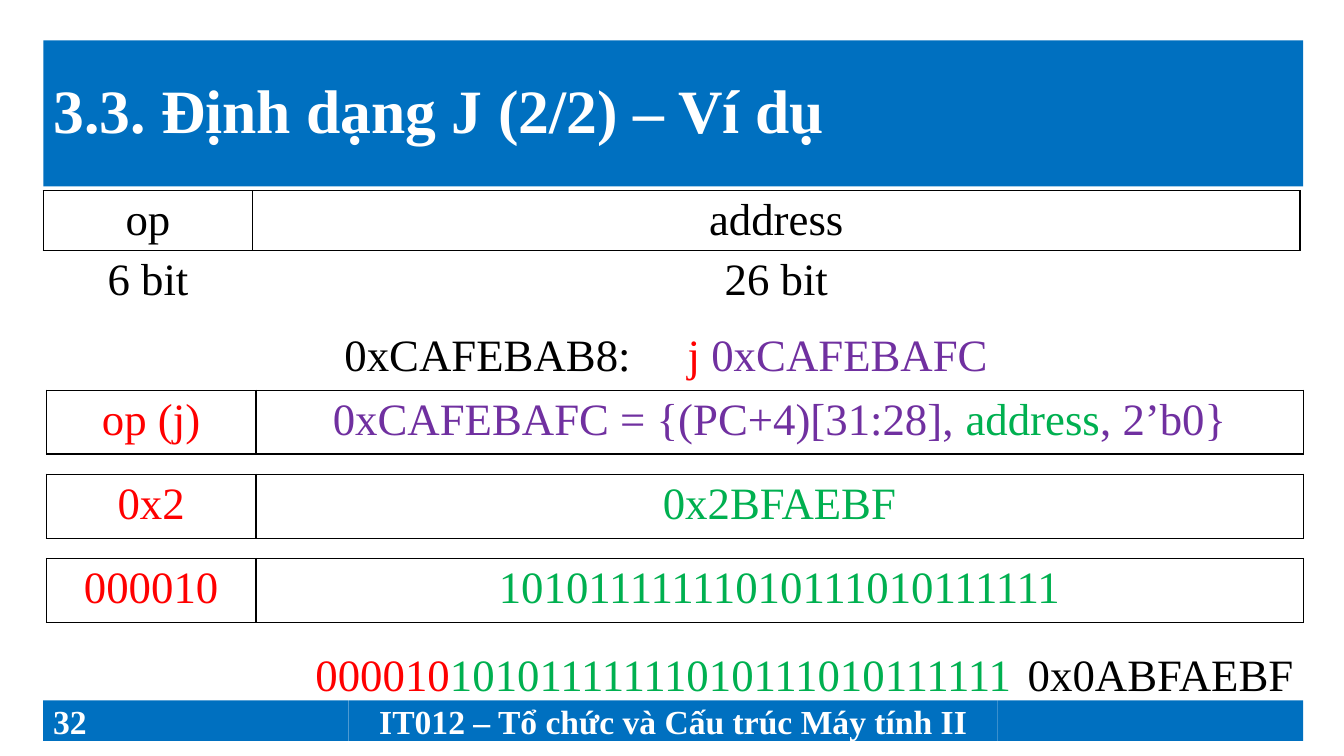
"""Build the slide that works through an example of the J instruction format."""
from lxml import etree
from pptx import Presentation
from pptx.dml.color import RGBColor
from pptx.enum import shapes, text
from pptx.oxml.ns import qn
from pptx.util import Cm, Pt

BLUE = RGBColor(0x00, 0x70, 0xC0)
WHITE = RGBColor(0xFF, 0xFF, 0xFF)
BLACK = RGBColor(0, 0, 0)
RED = RGBColor(0xFF, 0, 0)
PURPLE = RGBColor(0x70, 0x30, 0xA0)
GREEN = RGBColor(0x00, 0xB0, 0x50)

LEFT = 1.09
COLUMNS = (5.28, 26.39)
BODY = {"name": "Times New Roman", "size": Pt(32), "bold": False}
FOOTER = {**BODY, "size": Pt(24), "bold": True}
TITLE = {**FOOTER, "size": Pt(44)}
MIDDLE = {"vertical_anchor": text.MSO_ANCHOR.MIDDLE, "word_wrap": True}
CENTER = text.PP_ALIGN.CENTER


def apply(target, values):
    for name, value in values.items():
        setattr(target, name, value)


def write(para, spans, font, align=text.PP_ALIGN.LEFT):
    para.alignment = align
    for words, colour in spans:
        span = para.add_run()
        span.text = words
        apply(span.font, font)
        span.font.color.rgb = colour


def fill_blue(shape):
    shape.fill.solid()
    shape.fill.fore_color.rgb = BLUE


def place_title(page, words):
    title = page.shapes.title
    apply(title, {"left": Cm(LEFT), "top": Cm(1.02), "width": Cm(31.75), "height": Cm(3.68)})
    fill_blue(title)
    apply(title.text_frame, MIDDLE)
    para = title.text_frame.paragraphs[0]
    para.line_spacing = 0.9
    write(para, [(words, WHITE)], TITLE)


def add_footer_bar(page, left, width, words, align):
    bar = page.shapes.add_shape(
        shapes.MSO_SHAPE.RECTANGLE, Cm(left), Cm(17.65), Cm(width), Cm(1.02))
    bar.shadow.inherit = False
    fill_blue(bar)
    bar.line.fill.background()
    apply(bar.text_frame, MIDDLE)
    if words:
        write(bar.text_frame.paragraphs[0], [(words, WHITE)], FOOTER, align)


def add_text(page, left, top, width, spans, align=text.PP_ALIGN.LEFT, tab=None):
    box = page.shapes.add_textbox(Cm(left), Cm(top), Cm(width), Cm(1.62))
    box.text_frame.word_wrap = True
    para = box.text_frame.paragraphs[0]
    if tab:
        stops = etree.SubElement(para._p.get_or_add_pPr(), qn("a:tabLst"))
        etree.SubElement(stops, qn("a:tab"), pos=str(Cm(tab)), algn="l")
    write(para, spans, BODY, align)


def set_borders(cell, visible):
    properties = cell._tc.get_or_add_tcPr()
    for side in "LRTB":
        line = etree.SubElement(properties, qn(f"a:ln{side}"), w=str(Pt(1)))
        if side in visible:
            solid = etree.SubElement(line, qn("a:solidFill"))
            etree.SubElement(solid, qn("a:srgbClr"), val=str(BLACK))
        else:
            etree.SubElement(line, qn("a:noFill"))


def add_fields(page, left, top, row_height, rows):
    frame = page.shapes.add_table(
        len(rows), len(COLUMNS), Cm(left), Cm(top),
        Cm(sum(COLUMNS)), Cm(row_height * len(rows)))
    table = frame.table
    apply(table, {"first_row": False, "horz_banding": False})
    for column, width in zip(table.columns, COLUMNS):
        column.width = Cm(width)
    for row_index, row in enumerate(rows):
        for column_index, spans in enumerate(row):
            cell = table.cell(row_index, column_index)
            set_borders(cell, "T" if row_index else "LRTB")
            cell.fill.background()
            write(cell.text_frame.paragraphs[0], spans, BODY, CENTER)


def main():
    deck = Presentation()
    apply(deck, {"slide_width": Cm(33.87), "slide_height": Cm(19.05)})
    page = deck.slides.add_slide(deck.slide_layouts[5])

    place_title(page, "3.3. Định dạng J (2/2) – Ví dụ")
    left = LEFT
    for width, words, align in (
            (7.7, "32", text.PP_ALIGN.LEFT),
            (16.35, "IT012 – Tổ chức và Cấu trúc Máy tính II", CENTER),
            (7.7, "", CENTER)):
        add_footer_bar(page, left, width, words, align)
        left += width

    add_fields(page, LEFT, 4.81, 1.5, [
        [[("op", BLACK)], [("address", BLACK)]],
        [[("6 bit", BLACK)], [("26 bit", BLACK)]]])
    add_text(page, 8.43, 8.1, 17, [
        ("0xCAFEBAB8:", BLACK), ("\tj ", RED), ("0xCAFEBAFC", PURPLE)], tab=8.65)

    opcode = ("000010", RED)
    address = ("10101111111010111010111111", GREEN)
    steps = (
        (("op (j)", RED), [("0xCAFEBAFC = {(PC+4)[31:28], ", PURPLE),
                           ("address", GREEN), (", 2’b0}", PURPLE)]),
        (("0x2", RED), [("0x2BFAEBF", GREEN)]),
        (opcode, [address]))
    for index, (code, target) in enumerate(steps):
        add_fields(page, 1.17, 9.83 + 2.12 * index, 1.61, [[[code], target]])

    add_text(page, 7.7, 16.18, 18.6, [opcode, address])
    add_text(page, 25.25, 16.18, 7.6, [("0x0ABFAEBF", BLACK)], text.PP_ALIGN.RIGHT)
    deck.save("out.pptx")


if __name__ == "__main__":
    main()
